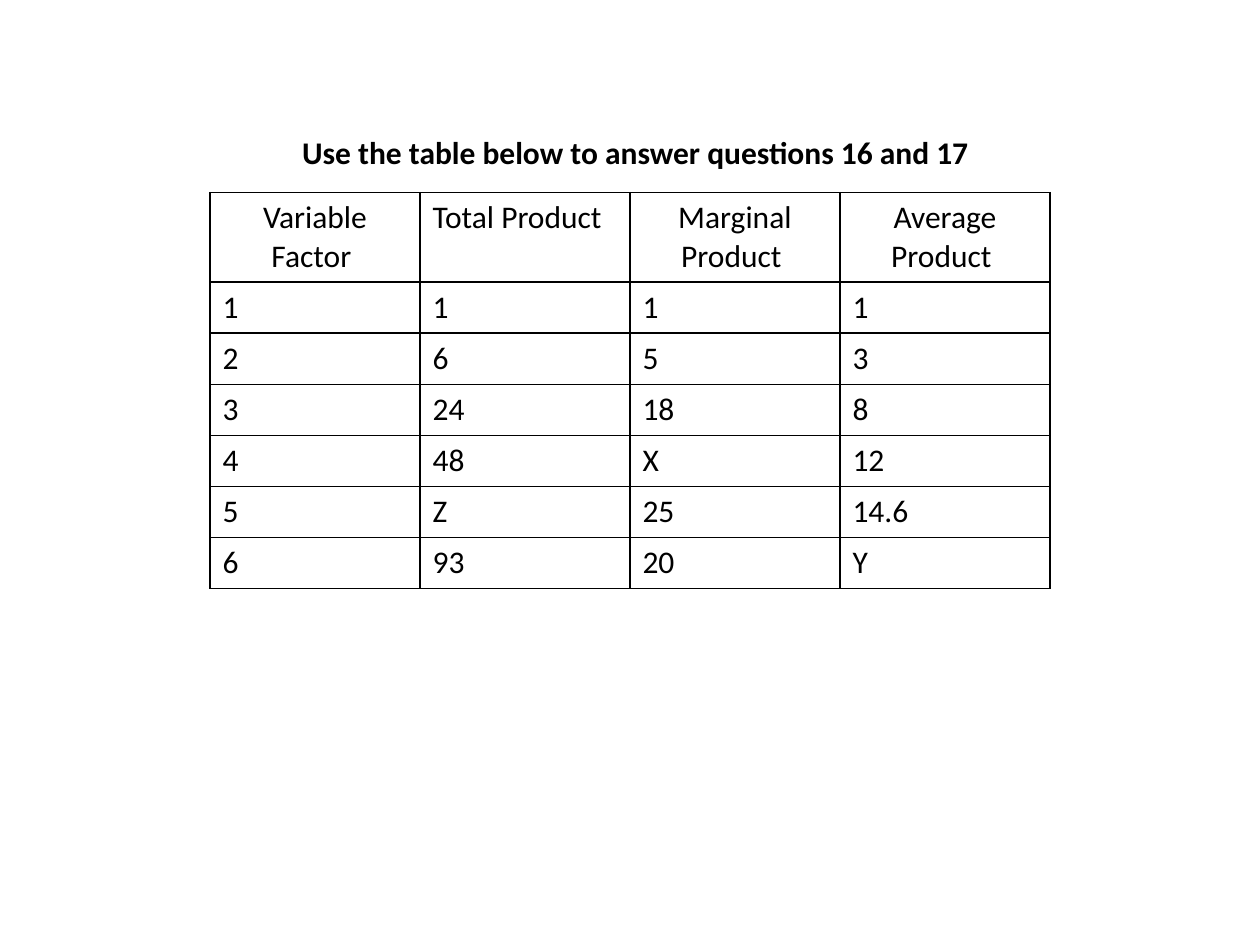
from lxml import etree
from pptx import Presentation
from pptx import util as u
from pptx.dml.color import RGBColor
from pptx.enum import text
from pptx.oxml.ns import qn

# Content
TITLE = "Use the table below to answer questions 16 and 17"
HEADERS = ["Variable Factor ", "Total Product", "Marginal Product ", "Average Product "]
CENTERED_HEADERS = {0, 2, 3}
ROWS = [
    ["1", "1", "1", "1"],
    ["2", "6", "5", "3"],
    ["3", "24", "18", "8"],
    ["4", "48", "X", "12"],
    ["5", "Z", "25", "14.6"],
    ["6", "93", "20", "Y"],
]

# Format and layout, in points
BLACK = "000000"
BODY_FORMAT = {"name": "Calibri", "size": u.Pt(18), "bold": False}
TITLE_FORMAT = {**BODY_FORMAT, "bold": True}
TITLE_BOX = (165.6, 72.72, 398.88, 29.08)
TABLE_LEFT, TABLE_TOP = 120, 110
COLUMN_WIDTH, ROW_HEIGHT = 120, 29.2


def color(value):
    return RGBColor.from_string(value)


def write(paragraph, words, values):
    run = paragraph.add_run()
    run.text = words
    for name, value in values.items():
        setattr(run.font, name, value)
    run.font.color.rgb = color(BLACK)


def add_borders(cell):
    properties = cell._tc.get_or_add_tcPr()
    for position, side in enumerate(("a:lnL", "a:lnR", "a:lnT", "a:lnB")):
        line = etree.Element(qn(side), w=str(u.Pt(1)))
        fill = etree.SubElement(line, qn("a:solidFill"))
        etree.SubElement(fill, qn("a:srgbClr"), val=BLACK)
        properties.insert(position, line)


presentation = Presentation()
presentation.slide_width, presentation.slide_height = u.Pt(720), u.Pt(540)
slide = presentation.slides.add_slide(presentation.slide_layouts[6])

# Table
grid = [HEADERS] + ROWS
table = slide.shapes.add_table(
    len(grid), len(HEADERS), u.Pt(TABLE_LEFT), u.Pt(TABLE_TOP),
    u.Pt(COLUMN_WIDTH * len(HEADERS)), u.Pt(ROW_HEIGHT * len(grid))).table
table.horz_banding = False
table.first_row = False
for column in table.columns:
    column.width = u.Pt(COLUMN_WIDTH)
for row_index, row in enumerate(grid):
    table.rows[row_index].height = u.Pt(ROW_HEIGHT)
    for column_index, words in enumerate(row):
        cell = table.cell(row_index, column_index)
        cell.fill.background()
        add_borders(cell)
        paragraph = cell.text_frame.paragraphs[0]
        if row_index == 0 and column_index in CENTERED_HEADERS:
            paragraph.alignment = text.PP_ALIGN.CENTER
        write(paragraph, words, BODY_FORMAT)

# Title above the table
frame = slide.shapes.add_textbox(*map(u.Pt, TITLE_BOX)).text_frame
frame.word_wrap = False
frame.auto_size = text.MSO_AUTO_SIZE.SHAPE_TO_FIT_TEXT
write(frame.paragraphs[0], TITLE, TITLE_FORMAT)

presentation.save("out.pptx")
